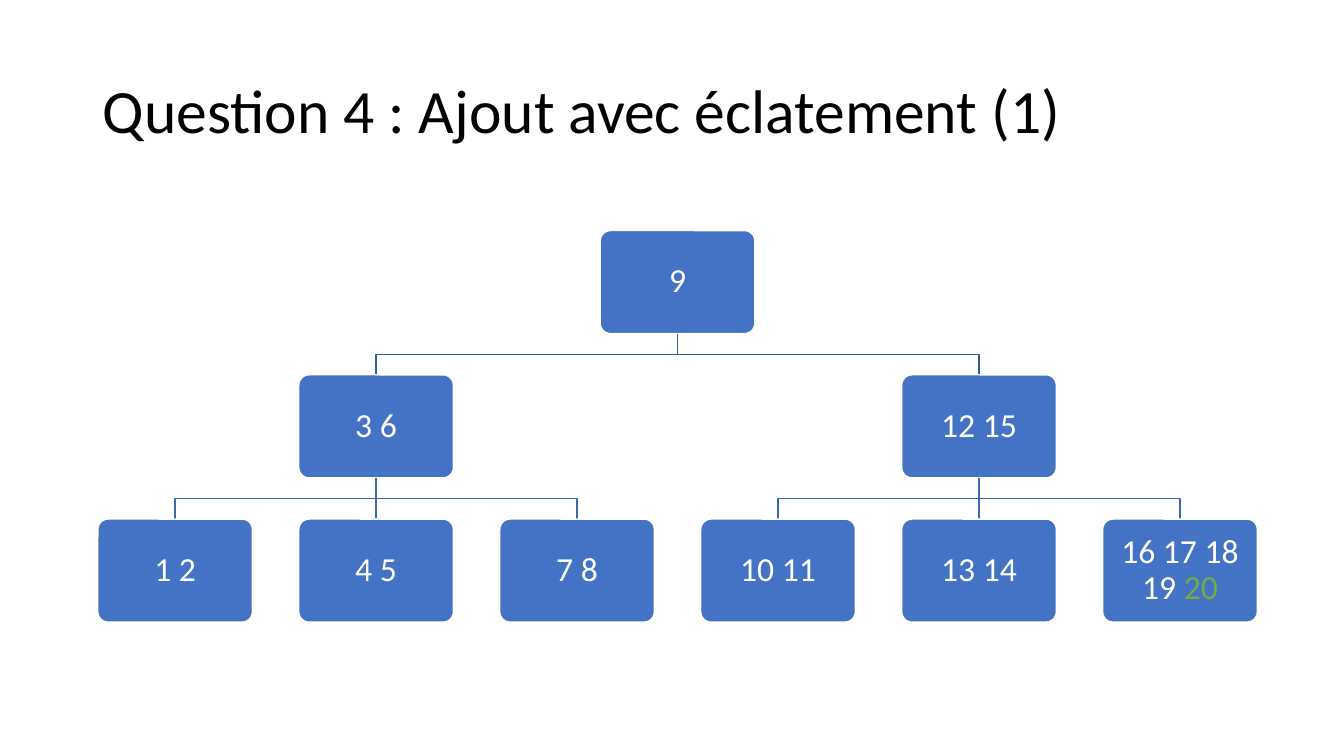
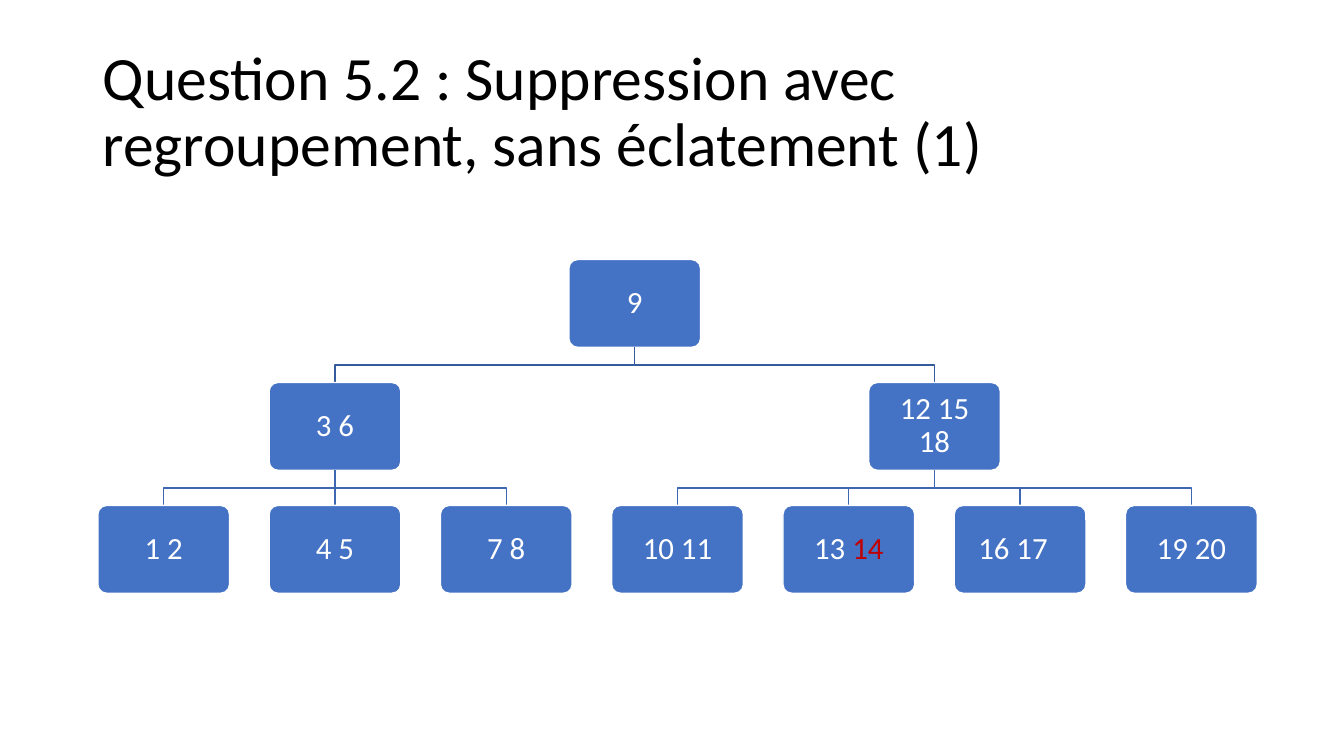
from dataclasses import dataclass

from lxml import etree
from pptx import Presentation, util as u
from pptx.dml.color import RGBColor
from pptx.enum import shapes, text
from pptx.oxml import ns


@dataclass(frozen=True)
class Theme:
    font: str = "Calibri"
    title_size: int = 44
    title: str = "000000"
    node: str = "4472C4"
    node_text: str = "FFFFFF"
    edges: tuple = ("365B9D", "3E67B2")  # below the root, below the second level
    added: str = "70AD47"
    removed: str = "C00000"


@dataclass
class Node:
    keys: str
    children: tuple = ()
    marked: str = ""
    mark_color: str = ""
    extra_right: float = 0  # widens the right inset


class Deck:
    """Holds the style and the current slide."""

    def __init__(self, theme):
        self.theme = theme
        self.presentation = Presentation()
        self.presentation.slide_width = u.Inches(13.33)
        self.presentation.slide_height = u.Inches(7.5)

    def add_slide(self, title):
        self.slide = self.presentation.slides.add_slide(self.presentation.slide_layouts[6])
        box = self.slide.shapes.add_textbox(
            u.Inches(0.92), u.Inches(0.4), u.Inches(11.5), u.Inches(1.45))
        self.set_text(box, [(title, self.theme.title)], self.theme.title_size,
                      text.PP_ALIGN.LEFT)

    def set_text(self, shape, parts, size, alignment):
        frame = shape.text_frame
        frame.word_wrap = True
        frame.vertical_anchor = text.MSO_ANCHOR.MIDDLE
        paragraph = frame.paragraphs[0]
        paragraph.alignment = alignment
        paragraph.line_spacing = 0.9
        for words, color in parts:
            run = paragraph.add_run()
            run.text = words
            run.font.name = self.theme.font
            run.font.size = u.Pt(size)
            run.font.color.rgb = RGBColor.from_string(color)

    def box(self, node, center, top, width, height, size):
        shape = self.slide.shapes.add_shape(
            shapes.MSO_SHAPE.ROUNDED_RECTANGLE, u.Inches(center - width / 2),
            u.Inches(top), u.Inches(width), u.Inches(height))
        shape.adjustments[0] = 0.1
        shape.shadow.inherit = False
        shape.fill.solid()
        shape.fill.fore_color.rgb = RGBColor.from_string(self.theme.node)
        shape.line.color.rgb = RGBColor.from_string(self.theme.node_text)
        shape.line.width = u.Pt(1)
        frame = shape.text_frame
        inset = u.Inches(0.12)
        frame.margin_left = frame.margin_top = frame.margin_bottom = inset
        frame.margin_right = inset + u.Inches(node.extra_right)
        parts = [(node.keys, self.theme.node_text)]
        if node.marked:
            parts.append((node.marked, node.mark_color))
        self.set_text(shape, parts, size, text.PP_ALIGN.CENTER)

    def edge(self, start, end, color):
        (x1, y1), (x2, y2) = [[u.Inches(value) for value in point] for point in (start, end)]
        if abs(end[0] - start[0]) < 0.01:
            line = self.slide.shapes.add_connector(
                shapes.MSO_CONNECTOR.STRAIGHT, x1, y1, x1, y2)
            etree.SubElement(line._element.spPr, ns.qn("a:effectLst"))
        else:
            middle = (y1 + y2) // 2
            builder = self.slide.shapes.build_freeform(x1, y1)
            builder.add_line_segments([(x1, middle), (x2, middle), (x2, y2)], close=False)
            line = builder.convert_to_shape()
            line.fill.background()
            line.shadow.inherit = False
        line.line.color.rgb = RGBColor.from_string(color)
        line.line.width = u.Pt(1)

    def tree(self, root, size):
        # Sizes follow from the leaf count; gaps are shares of the box size
        left, total_width, middle = 0.97, 11.5, 4.23
        leaf_count = sum(len(child.children) for child in root.children)
        width = total_width / (leaf_count + 0.3 * (leaf_count - 1))
        height = width * 2 / 3
        top = middle - 1.9 * height
        centers = {}
        leaf_centers = (left + width / 2 + 1.3 * width * i for i in range(leaf_count))

        def place(node):
            if node.children:
                spots = [place(child) for child in node.children]
                centers[id(node)] = (spots[0] + spots[-1]) / 2
            else:
                centers[id(node)] = next(leaf_centers)
            return centers[id(node)]

        def draw(node, level):
            center = centers[id(node)]
            y = top + 1.4 * height * level
            self.box(node, center, y, width, height, size)
            for child in node.children:
                self.edge((center, y + height), (centers[id(child)], y + 1.4 * height),
                          self.theme.edges[level])
                draw(child, level + 1)

        place(root)
        draw(root, 0)


theme = Theme()
deck = Deck(theme)


def left_branch():
    return Node("3 6", (Node("1 2"), Node("4 5"), Node("7 8")))


# Insertion with a split
deck.add_slide("Question 4 : Ajout avec éclatement (1)")
deck.tree(Node("9", (
    left_branch(),
    Node("12 15", (
        Node("10 11"), Node("13 14"),
        Node("16 17 18 19 ", marked="20", mark_color=theme.added))),
)), size=24)

# Deletion with a merge
deck.add_slide("Question 5.2 : Suppression avec regroupement, sans éclatement (1)")
deck.tree(Node("9", (
    left_branch(),
    Node("12 15 18", (
        Node("10 11"), Node("13 ", marked="14", mark_color=theme.removed),
        Node("16 17", extra_right=0.14), Node("19 20"))),
)), size=22)

deck.presentation.save("out.pptx")
